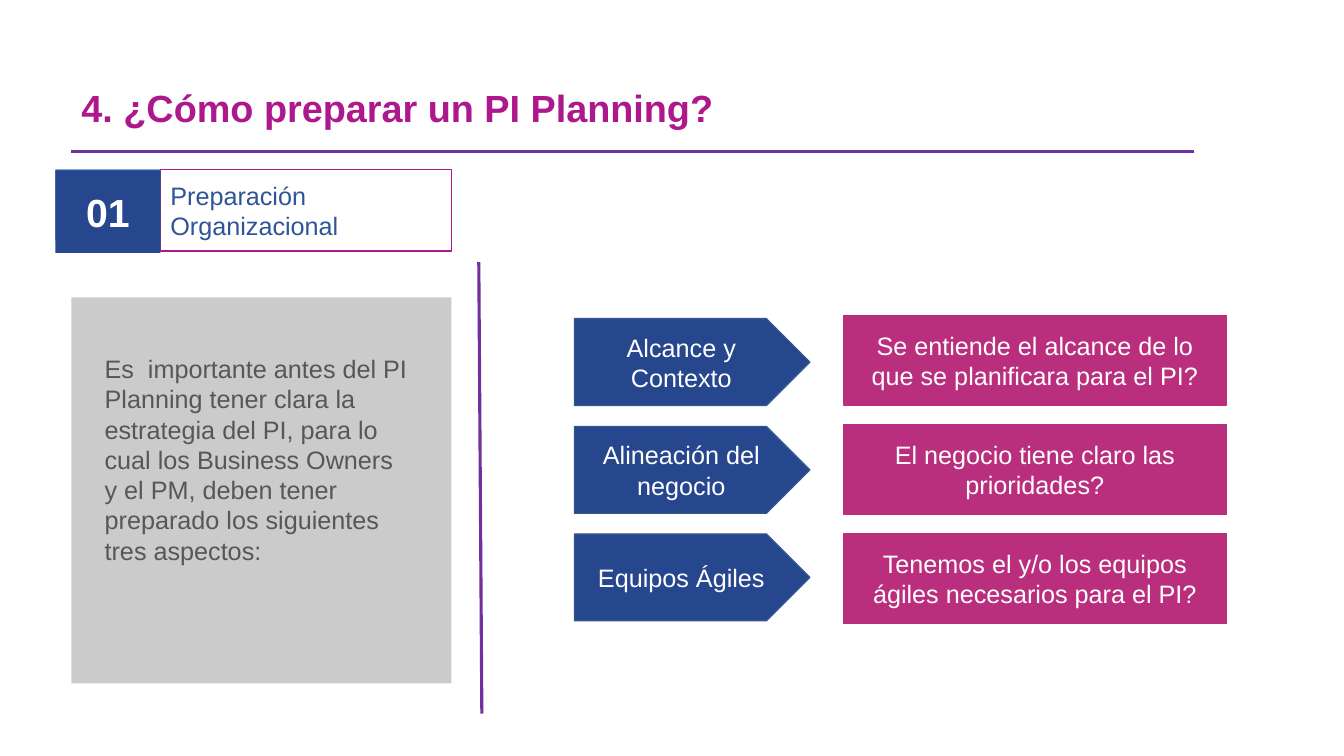
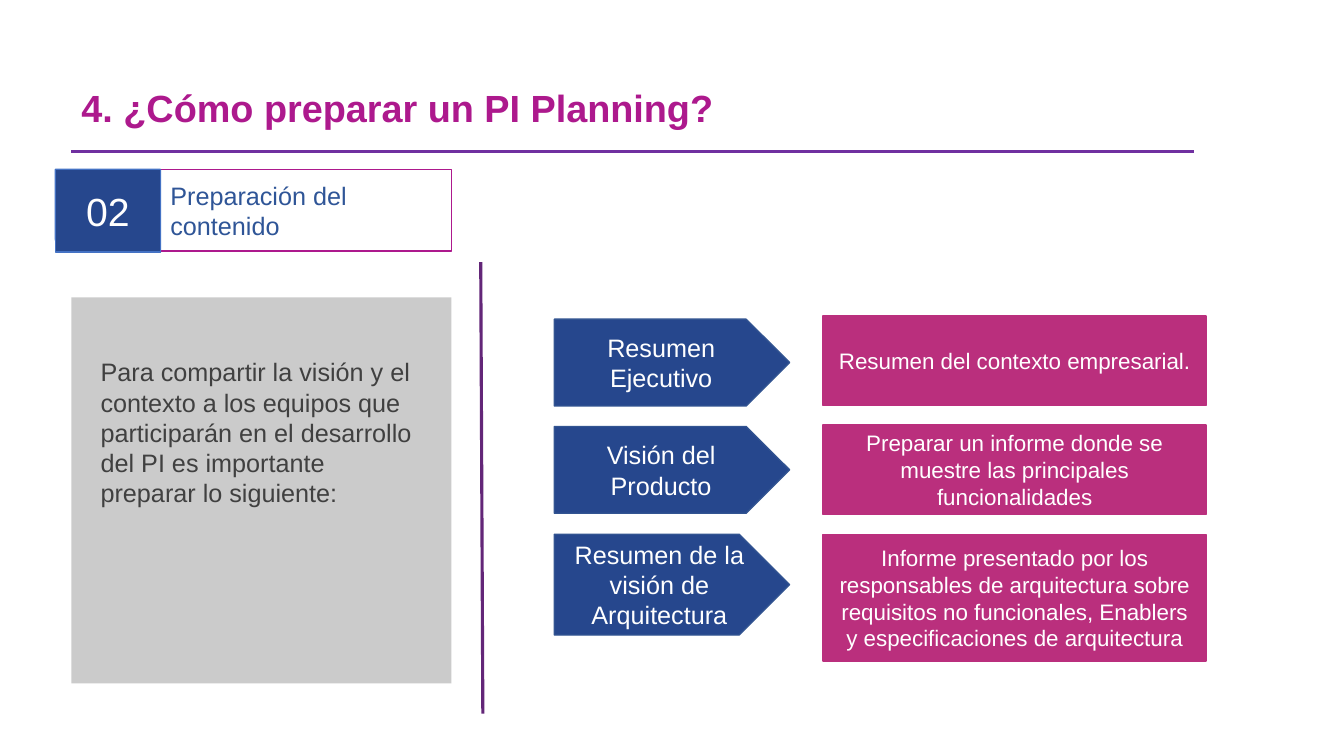
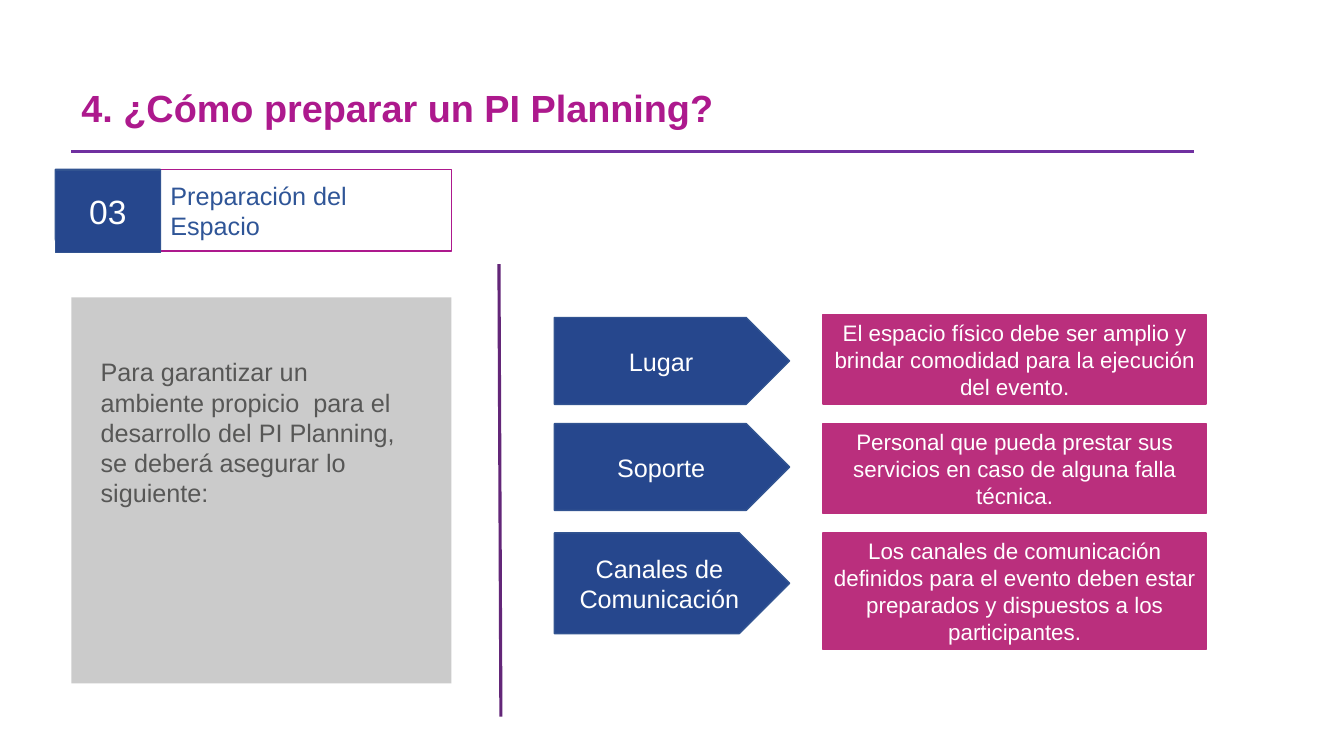
from lxml import etree
from pptx import Presentation
from pptx.dml.color import RGBColor
from pptx.enum.shapes import MSO_CONNECTOR, MSO_SHAPE
from pptx.enum.text import MSO_ANCHOR, MSO_AUTO_SIZE, PP_ALIGN
from pptx.oxml.ns import qn
from pptx.util import Pt

RECT = MSO_SHAPE.RECTANGLE
ARROW = MSO_SHAPE.PENTAGON
CARD = MSO_SHAPE.FLOWCHART_PROCESS
LINE = MSO_CONNECTOR.STRAIGHT
MIDDLE = MSO_ANCHOR.MIDDLE
TOP = MSO_ANCHOR.TOP
LEFT = PP_ALIGN.LEFT
CENTER = PP_ALIGN.CENTER
FIXED = MSO_AUTO_SIZE.NONE
GROW = MSO_AUTO_SIZE.SHAPE_TO_FIT_TEXT

WHITE = RGBColor(0xFF, 0xFF, 0xFF)
NAVY = RGBColor(0x26, 0x47, 0x8D)
EDGE = RGBColor(0x32, 0x54, 0x91)
BLUE = RGBColor(0x44, 0x72, 0xC4)
STEEL = RGBColor(0x2F, 0x55, 0x97)
PINK = RGBColor(0xBA, 0x2F, 0x7D)
MAGENTA = RGBColor(0xAD, 0x19, 0x8D)
PURPLE = RGBColor(0x70, 0x30, 0xA0)
PLUM = RGBColor(0x63, 0x26, 0x78)
SILVER = RGBColor(0xBF, 0xBF, 0xBF)
GRAY = RGBColor(0x57, 0x57, 0x56)
DARK = RGBColor(0x40, 0x40, 0x40)

FONT = "Arial"
TITLE = "4. ¿Cómo preparar un PI Planning?"
PITCH = 78
GAP = 192

TOPICS = [
    {
        "badge": ("01", 28, True, BLUE, None, 121.7),
        "tag": "Preparación Organizacional",
        "note": "Es  importante antes del PI Planning tener clara la estrategia "
                "del PI, para lo cual los Business Owners y el PM, deben tener "
                "preparado los siguientes tres aspectos:",
        "body": (67.7, 249, 232, 160, GRAY),
        "split": (342, 187.2, 344.2, 509.8, PURPLE),
        "grid": (410.4, 225.4, 18),
        "rows": [
            ("Alcance y Contexto", 2.2, 62,
             "Se entiende el alcance de lo que se planificara para el PI?", 64),
            ("Alineación del negocio", 1.2, 62,
             "El negocio tiene claro las prioridades?", 64),
            ("Equipos Ágiles", 0, 62,
             "Tenemos el y/o los equipos ágiles necesarios para el PI?", 64),
        ],
    },
    {
        "badge": ("02", 28, False, NAVY, BLUE, 121),
        "tag": "Preparación del contenido",
        "note": "Para compartir la visión y el contexto a los equipos que "
                "participarán en el desarrollo del PI es importante "
                "preparar lo siguiente:",
        "body": (64.8, 251.3, 244, 116.6, DARK),
        "split": (343.4, 187.2, 344.9, 509.8, PLUM),
        "grid": (396, 225.6, 16),
        "rows": [
            ("Resumen Ejecutivo", 2.4, 62,
             "Resumen del contexto empresarial.", 64),
            ("Visión del Producto", 1, 62,
             "Preparar un informe donde se muestre las principales "
             "funcionalidades", 64),
            ("Resumen de la visión de Arquitectura", 0, 72,
             "Informe presentado por los responsables de arquitectura sobre "
             "requisitos no funcionales, Enablers y especificaciones de "
             "arquitectura", 90.7),
        ],
    },
    {
        "badge": ("03", 24, False, NAVY, EDGE, 121.4),
        "tag": "Preparación del Espacio",
        "note": "Para garantizar un ambiente propicio  para el desarrollo del "
                "PI Planning, se deberá asegurar lo siguiente:",
        "body": (64.8, 251.3, 232, 116.6, GRAY),
        "split": (356.4, 188.6, 357.8, 511.9, PLUM),
        "grid": (396, 224.6, 16),
        "rows": [
            ("Lugar", 2.2, 62,
             "El espacio físico debe ser amplio y brindar comodidad para la "
             "ejecución del evento.", 64),
            ("Soporte", 0, 62,
             "Personal que pueda prestar sus servicios en caso de alguna falla "
             "técnica.", 64),
            ("Canales de Comunicación", 0, 72,
             "Los canales de comunicación definidos para el evento deben estar "
             "preparados y dispuestos a los participantes.", 83.5),
        ],
    },
]


def write(shape, text, size, color, align=LEFT, bold=False, anchor=MIDDLE):
    frame = shape.text_frame
    frame.word_wrap = True
    frame.vertical_anchor = anchor
    para = frame.paragraphs[0]
    para.alignment = align
    run = para.add_run()
    run.text = text
    font = run.font
    font.name, font.size, font.bold = FONT, Pt(size), bold
    font.color.rgb = color
    return para


def paint(shape, fill, line, width=1):
    shape.shadow.inherit = False
    if fill is None:
        shape.fill.background()
    else:
        shape.fill.solid()
        shape.fill.fore_color.rgb = fill
    if line is None:
        shape.line.fill.background()
    else:
        shape.line.color.rgb = line
        shape.line.width = Pt(width)


def block(shapes, kind, box, fill, line=None, width=1):
    shape = shapes.add_shape(kind, *map(Pt, box))
    paint(shape, fill, line, width)
    return shape


def rule(slide, ends, color):
    line = slide.shapes.add_connector(LINE, *map(Pt, ends))
    line.line.color.rgb = color
    line.line.width = Pt(2.25)
    props = line._element.spPr
    etree.SubElement(props, qn("a:effectLst"))


def header(slide, x, y, w, h):
    title = slide.shapes.title
    title.left, title.top, title.width, title.height = map(Pt, (x, y, w, h))
    title.text_frame.auto_size = FIXED
    para = write(title, TITLE, 27, MAGENTA, bold=True)
    para.line_spacing = 0.9
    rule(slide, (x, y + 51, x + 802, y + 51), PURPLE)


def banner(slide, x, y, w, h, tag, badge):
    text, size, bold, back, line, top = badge
    side = 75
    label = block(slide.shapes, RECT, (x + side, y, w - side, h),
                  None, MAGENTA, 0.75)
    write(label, tag, 18, STEEL)
    group = slide.shapes.add_group_shape().shapes
    low = y + 59
    pen = group.build_freeform(Pt(x), Pt(y))
    curve = [(x + side, y), (x + side, low), (x + 8, low),
             (x + 4, low - 1), (x + 1, low - 4), (x, low - 9)]
    pen.add_line_segments([(Pt(a), Pt(b)) for a, b in curve])
    paint(pen.convert_to_shape(), back, line)
    front = block(group, RECT, (x, top, side, 59), NAVY, line)
    write(front, text, size, WHITE, CENTER, bold)


def panel(slide, x, y, w, h, note, body):
    back = block(slide.shapes, RECT, (x, y, w, h), SILVER)
    tint = back._element.spPr.find(qn("a:solidFill"))[0]
    etree.SubElement(tint, qn("a:alpha")).set("val", "80000")
    *box, color = body
    area = slide.shapes.add_textbox(*map(Pt, box))
    area.text_frame.auto_size = GROW
    write(area, note, 18, color, anchor=TOP)


def grid(slide, x, y, size, rows):
    for i, (name, shift, tall, text, high) in enumerate(rows):
        top = y + i * PITCH
        arrow = block(slide.shapes, ARROW, (x, top + shift, 168, tall),
                      NAVY, EDGE)
        write(arrow, name, 18, WHITE, CENTER)
        card = block(slide.shapes, CARD, (x + GAP, top, 273.6, high),
                     PINK, PINK)
        write(card, text, size, WHITE, CENTER)


def build(deck, topic):
    slide = deck.slides.add_slide(deck.slide_layouts[5])
    header(slide, 51, 57, 744, 44)
    banner(slide, 39.6, 121, 283, 58.3, topic["tag"], topic["badge"])
    panel(slide, 51, 212.4, 271.4, 275.8, topic["note"], topic["body"])
    *ends, color = topic["split"]
    rule(slide, ends, color)
    grid(slide, *topic["grid"], topic["rows"])


def main():
    deck = Presentation()
    deck.slide_width, deck.slide_height = Pt(960), Pt(540)
    for topic in TOPICS:
        build(deck, topic)
    deck.save("out.pptx")


if __name__ == "__main__":
    main()
